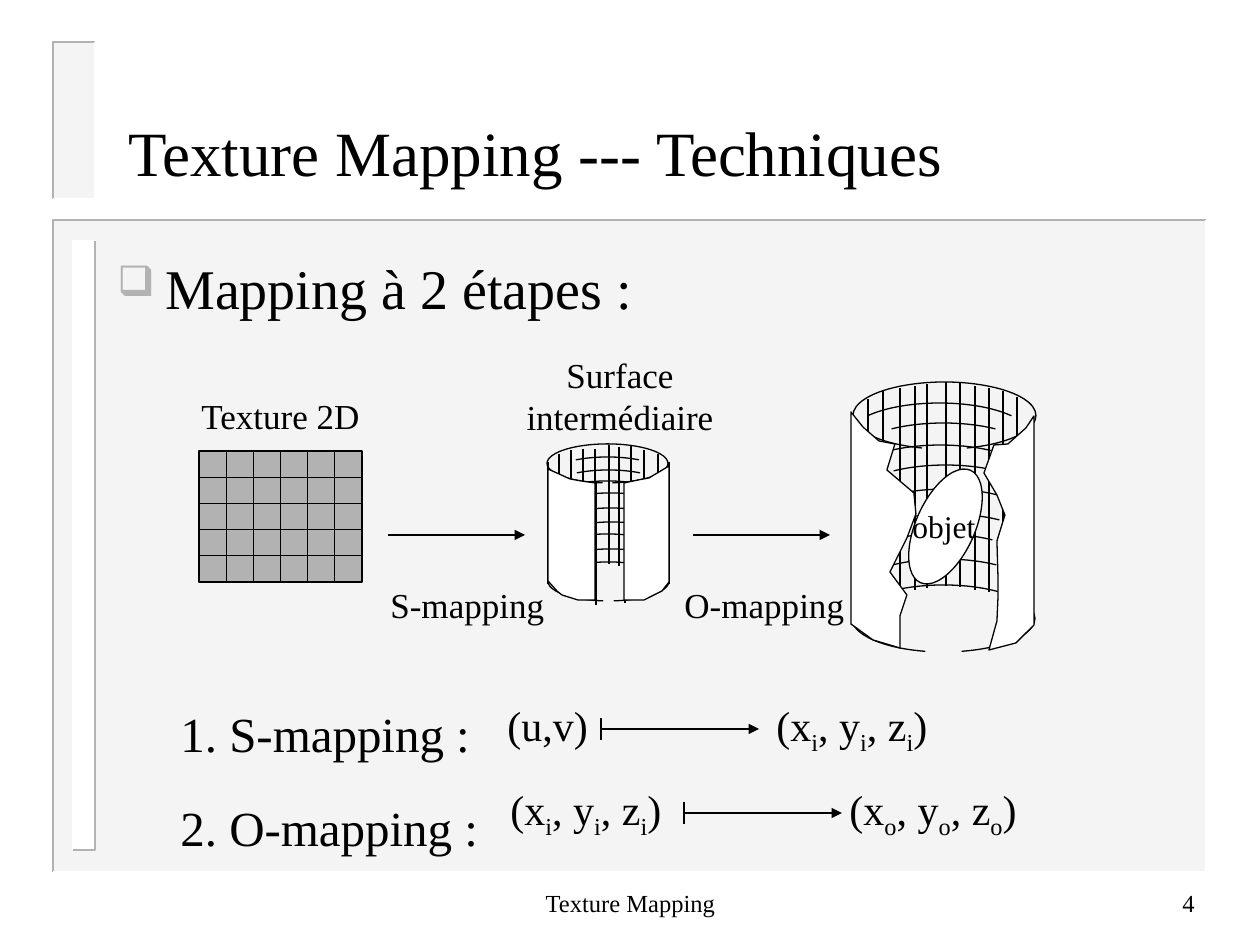
from lxml import etree
from pptx import Presentation
from pptx import util as u
from pptx.dml.color import RGBColor
from pptx.enum import shapes, text
from pptx.oxml.ns import qn

PX = 914400 / 126  # EMU per px
FONT = "Times New Roman"
BLACK, WHITE, GREY, PALE = "000000", "FFFFFF", "B2B2B2", "EAEAEA"


def px(n):
    return u.Emu(round(n * PX))


def rgb(c):
    return RGBColor.from_string(c)


def add(parent, tag, **attrs):
    return etree.SubElement(parent, qn(tag), {k: str(v) for k, v in attrs.items()})


# Basic parts
def style(sp, fill=None, line=BLACK, width=0.75):
    sp.shadow.inherit = False
    if fill:
        sp.fill.solid()
        sp.fill.fore_color.rgb = rgb(fill)
    else:
        sp.fill.background()
    if line:
        sp.line.color.rgb = rgb(line)
        sp.line.width = u.Pt(width)
    else:
        sp.line.fill.background()


def preset(s, kind, x, y, w, h, fill=None, line=BLACK):
    sp = s.shapes.add_shape(kind, px(x), px(y), px(w), px(h))
    style(sp, fill, line)
    return sp


def outline(s, x, y, points, fill=None, line=BLACK, width=0.75, close=True):
    (x0, y0), *rest = [(x + dx, y + dy) for dx, dy in points]
    fb = s.shapes.build_freeform(x0, y0, scale=PX)
    fb.add_line_segments(rest, close=close)
    style(fb.convert_to_shape(), fill, line, width)


def line(s, x1, y1, x2, y2, arrow=False):
    sp = s.shapes.add_connector(shapes.MSO_CONNECTOR.STRAIGHT, px(x1), px(y1), px(x2), px(y2))
    sp.line.color.rgb = rgb(BLACK)
    sp.line.width = u.Pt(0.75)
    if arrow:
        add(sp.line._get_or_add_ln(), "a:tailEnd", type="triangle")
    add(sp._element.spPr, "a:effectLst")


def arc(s, x, y, w, h, start, end):
    sp = preset(s, shapes.MSO_SHAPE.BLOCK_ARC, x, y, w, h)
    for i, value in enumerate((start * 0.6, end * 0.6, 0)):
        sp.adjustments[i] = value


def write(p, words, size, base=0):
    r = p.add_run()
    r.text = words
    r.font.name, r.font.size = FONT, u.Pt(size)
    r.font.color.rgb = rgb(BLACK)
    if base:
        r.font._element.set("baseline", str(base))


def textbox(s, x, y, w, h, lines=(), size=20, align="LEFT", anchor="TOP", wrap=False):
    tf = s.shapes.add_textbox(px(x), px(y), px(w), px(h)).text_frame
    tf.word_wrap = wrap
    tf.vertical_anchor = getattr(text.MSO_ANCHOR, anchor)
    for i, words in enumerate(lines):
        p = tf.add_paragraph() if i else tf.paragraphs[0]
        p.alignment = getattr(text.PP_ALIGN, align)
        write(p, words, size)
    return tf


# Background panels: a fill, one grey bevel and one white bevel
def panel(s, x, y, w, h, fill, sunken=False):
    sp = preset(s, shapes.MSO_SHAPE.RECTANGLE, x, y, w, h, fill, None)
    if fill == PALE:
        clr = sp._element.spPr.find(qn("a:solidFill"))[0]
        add(clr, "a:alpha", val=50000)
    upper = [(w, 0), (0, 0), (0, h)]
    lower = [(w, 0), (w, h), (0, h)]
    for points, color in zip((upper, lower), (WHITE, GREY) if sunken else (GREY, WHITE)):
        outline(s, x, y, points, line=color, width=1, close=False)


# Main text: one bullet and two numbered steps
def body(s, x, y, w, h):
    tf = textbox(s, x, y, w, h, wrap=True)
    rows = [("Mapping à 2 étapes :", 32, 48, -48, 0),
            ("1. S-mapping :", 28, 102, -39, 219),
            ("2. O-mapping :", 28, 102, -39, 20)]
    for i, (words, size, margin, indent, before) in enumerate(rows):
        p = tf.add_paragraph() if i else tf.paragraphs[0]
        pPr = p._p.get_or_add_pPr()
        pPr.set("marL", str(px(margin)))
        pPr.set("indent", str(px(indent)))
        if i:
            p.space_before = u.Pt(before)
        else:
            add(add(pPr, "a:buClr"), "a:srgbClr", val=GREY)
            add(pPr, "a:buSzPct", val=75000)
            add(pPr, "a:buChar", char="❑")
        write(p, words, size)


# Texture grid
def texture(s, x, y, w, h, cols=6, rows=5):
    preset(s, shapes.MSO_SHAPE.RECTANGLE, x, y, w, h, GREY)
    for i in range(1, rows):
        line(s, x, y + h * i / rows, x + w, y + h * i / rows)
    for i in range(1, cols):
        line(s, x + w * i / cols, y, x + w * i / cols, y + h)


# Open cylinder: mesh on the inner wall, white panels in front
def cylinder(s, x, y, size, mesh, mesh_h, arcs, edges, edge_h, panels):
    for group, length in ((mesh, mesh_h), (edges, edge_h)):
        for dx, dy in group:
            line(s, x + dx, y + dy, x + dx, y + dy + length)
    for dx, dy, start in arcs:
        arc(s, x + dx, y + dy, *size, start, (540 - start) % 360)
    for points in panels:
        outline(s, x, y, points, WHITE)


def small_cylinder(s, x, y):
    rings = [(0, 13), (1, 26), (0, 37), (3, 49), (3, 64), (4, 78), (0, 90), (3, 105)]
    cylinder(
        s, x, y, (121, 39),
        [(12, 10), (24, 6), (36, 5), (48, 5), (62, 1), (72, 3), (84, 2), (97, 6), (111, 10)], 119,
        [(0, 0, 105), (1, 118, 106.1)] + [(*ring, 208.24) for ring in rings],
        [(1, 18), (49, 39), (78, 37), (122, 18)], 122,
        [[(1, 25), (23, 35), (34, 37), (48, 39), (48, 156), (31, 156), (15, 151), (10, 147),
          (1, 137)],
         [(122, 22), (102, 34), (91, 36), (77, 39), (77, 156), (97, 156), (107, 151), (115, 147),
          (122, 138)]])


def large_cylinder(s, x, y):
    rings = [(4, 41), (1, 63), (6, 83), (6, 107), (8, 132), (1, 152), (5, 177)]
    cylinder(
        s, x, y, (183, 67),
        [(20, 17), (35, 9), (52, 6), (67, 4), (79, 2), (98, 0), (112, 1), (127, 4), (141, 6),
         (155, 9), (169, 15)], 204,
        [(5, 0, 125.1), (4, 203, 119.6), (0, 21, 196.3)] + [(*ring, 208.24) for ring in rings],
        [(4, 33), (185, 35)], 208,
        [[(47, 62), (31, 59), (15, 45), (3, 30), (3, 242), (25, 258), (52, 266), (52, 234),
          (59, 213), (42, 190), (59, 156), (68, 132), (66, 111), (39, 88)],
         [(146, 63), (160, 62), (178, 46), (186, 34), (186, 243), (168, 261), (141, 268),
          (149, 239), (150, 217), (150, 193), (149, 159), (157, 133), (149, 113), (136, 91)]])
    # Object inside the cylinder
    preset(s, shapes.MSO_SHAPE.OVAL, x + 68, y + 83, 59, 123, WHITE).rotation = 24
    textbox(s, x + 52, y + 119, 88, 50, ["objet"], 18)


# Mapping formula: source, barred arrow, target; "_" marks a subscript
def formula(s, x, y, w, words, tab, arrow_x):
    p = textbox(s, x, y, w, 70, wrap=True).paragraphs[0]
    tabs = add(p._p.get_or_add_pPr(), "a:tabLst")
    add(tabs, "a:tab", pos=px(tab), algn="l")
    first, *rest = words.split("_")
    write(p, first, 24)
    for part in rest:
        write(p, part[0], 24, -25000)
        write(p, part[1:], 24)
    line(s, arrow_x, y + 36, arrow_x + 158, y + 36, arrow=True)
    line(s, arrow_x, y + 25, arrow_x, y + 47)


def main():
    prs = Presentation()
    prs.slide_width, prs.slide_height = px(1260), px(945)
    s = prs.slides.add_slide(prs.slide_layouts[6])

    # Frame
    panel(s, 53, 220, 1153, 652, PALE)
    panel(s, 73, 241, 22, 609, WHITE, sunken=True)
    panel(s, 53, 42, 42, 157, PALE)

    # Title and main text
    textbox(s, 116, 102, 1071, 99, ["Texture Mapping --- Techniques"], 36,
            anchor="MIDDLE", wrap=True)
    body(s, 105, 247, 1124, 620)

    # Diagram
    texture(s, 199, 451, 163, 131)
    small_cylinder(s, 547, 444)
    large_cylinder(s, 848, 382)
    for x in (388, 693):
        line(s, x, 535, x + 137, 535, arrow=True)
    textbox(s, 378, 577, 179, 55, ["S-mapping"])
    textbox(s, 672, 577, 185, 55, ["O-mapping"])
    textbox(s, 189, 388, 185, 55, ["Texture 2D"])
    textbox(s, 514, 347, 212, 97, ["Surface", "intermédiaire"], align="CENTER")

    # Formulas
    formula(s, 495, 693, 460, "(u,v)\t(x_i, y_i, z_i)", 269, 601)
    formula(s, 498, 777, 550, "(x_i, y_i, z_i)\t(x_o, y_o, z_o)", 339, 684)

    # Footer
    textbox(s, 431, 871, 399, 63, ["Texture Mapping"], 14, "CENTER", "MIDDLE", True)
    textbox(s, 945, 871, 262, 63, ["4"], 14, "RIGHT", "MIDDLE", True)

    prs.save("out.pptx")


if __name__ == "__main__":
    main()
